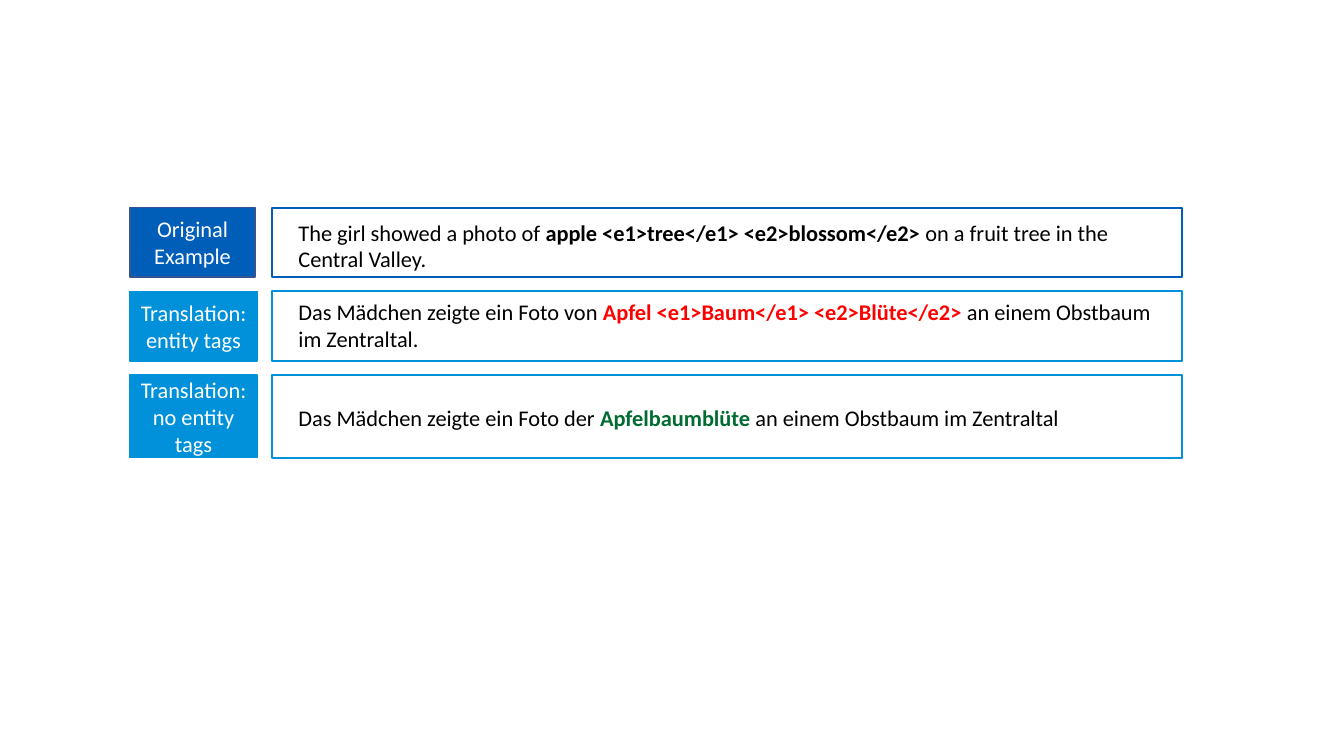
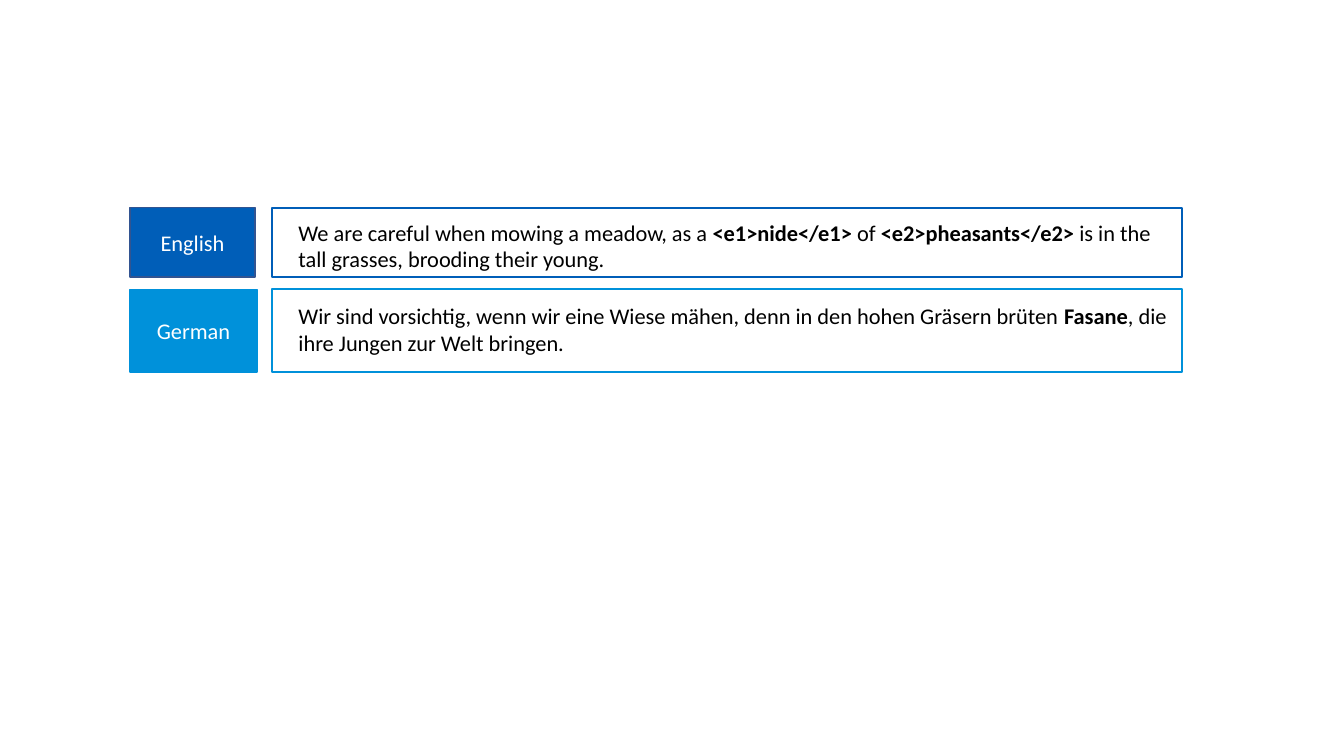
from pptx import Presentation
from pptx.dml.color import RGBColor
from pptx.enum.shapes import MSO_SHAPE as SHAPE
from pptx.enum.text import MSO_ANCHOR as ANCHOR, PP_ALIGN as ALIGN
from pptx.util import Inches, Pt

COLORS = {
    "source": "005EB8",
    "source_edge": "325491",
    "target": "0091DA",
    "wrong": "FF0000",
    "right": "006C31",
    "text": "000000",
    "label": "FFFFFF",
}
FONT = "Calibri"
TEXT_SIZE = 16
LABEL_LEFT = 1.29
FRAME_LEFT, FRAME_WIDTH = 2.7, 9.02
STYLES = {
    "source": {"edge": "source_edge", "label_width": 1.24},
    "target": {"edge": "target", "label_width": 1.26},
}

SLIDES = [
    [
        ("source", 2.06, 0.69, 0.11, "Original Example", [
            ("The girl showed a photo of ", None),
            ("apple <e1>tree</e1> <e2>blossom</e2> ", "text"),
            ("on a fruit tree in the Central Valley.", None),
        ]),
        ("target", 2.89, 0.69, 0.07, "Translation: entity tags", [
            ("Das Mädchen zeigte ein Foto von ", None),
            ("Apfel <e1>Baum</e1> <e2>Blüte</e2> ", "wrong"),
            ("an einem Obstbaum im Zentraltal.", None),
        ]),
        ("target", 3.72, 0.82, 0.29, "Translation: no entity tags", [
            ("Das Mädchen zeigte ein Foto der ", None),
            ("Apfelbaumblüte", "right"),
            (" an einem Obstbaum im Zentraltal", None),
        ]),
    ],
    [
        ("source", 2.06, 0.69, 0.11, "English", [
            ("We are careful when mowing a meadow, as a ", None),
            ("<e1>nide</e1> ", "text"),
            ("of ", None),
            ("<e2>pheasants</e2> ", "text"),
            ("is in the tall grasses, brooding their young.", None),
        ]),
        ("target", 2.87, 0.82, 0.13, "German", [
            ("Wir sind vorsichtig, wenn wir eine Wiese mähen, "
             "denn in den hohen Gräsern brüten ", None),
            ("Fasane", "text"),
            (", die ihre Jungen zur Welt bringen.", None),
        ]),
    ],
]


def rgb(name):
    return RGBColor.from_string(COLORS[name])


def add_run(p, text, color, bold=False):
    r = p.add_run()
    r.text = text
    r.font.name = FONT
    r.font.size = Pt(TEXT_SIZE)
    r.font.bold = bold
    r.font.color.rgb = rgb(color)


def add_box(s, left, top, width, height, line, weight, fill=None):
    sp = s.shapes.add_shape(SHAPE.RECTANGLE, Inches(left), Inches(top),
                            Inches(width), Inches(height))
    sp.shadow.inherit = False
    if fill:
        sp.fill.solid()
        sp.fill.fore_color.rgb = rgb(fill)
    else:
        sp.fill.background()
    sp.line.color.rgb = rgb(line)
    sp.line.width = Pt(weight)
    sp.text_frame.word_wrap = True
    return sp


def add_label(s, top, height, style, text):
    look = STYLES[style]
    sp = add_box(s, LABEL_LEFT, top, look["label_width"], height,
                 look["edge"], 1, style)
    tf = sp.text_frame
    tf.vertical_anchor = ANCHOR.MIDDLE
    p = tf.paragraphs[0]
    p.alignment = ALIGN.CENTER
    add_run(p, text, "label")


def add_sentence(s, top, height, style, inset, parts):
    sp = add_box(s, FRAME_LEFT, top, FRAME_WIDTH, height, style, 1.5)
    tf = sp.text_frame
    tf.vertical_anchor = ANCHOR.TOP
    tf.margin_left, tf.margin_right = Inches(0.26), Inches(0.09)
    tf.margin_top, tf.margin_bottom = Inches(inset), Inches(0)
    p = tf.paragraphs[0]
    p.alignment = ALIGN.LEFT
    for text, emphasis in parts:
        add_run(p, text, emphasis or "text", emphasis is not None)


def add_example_slide(prs, rows):
    s = prs.slides.add_slide(prs.slide_layouts[6])
    for style, top, height, inset, label, parts in rows:
        add_label(s, top, height, style, label)
        add_sentence(s, top, height, style, inset, parts)


def main():
    prs = Presentation()
    prs.slide_width, prs.slide_height = Inches(13.33), Inches(7.5)
    for rows in SLIDES:
        add_example_slide(prs, rows)
    prs.save("out.pptx")


if __name__ == "__main__":
    main()
